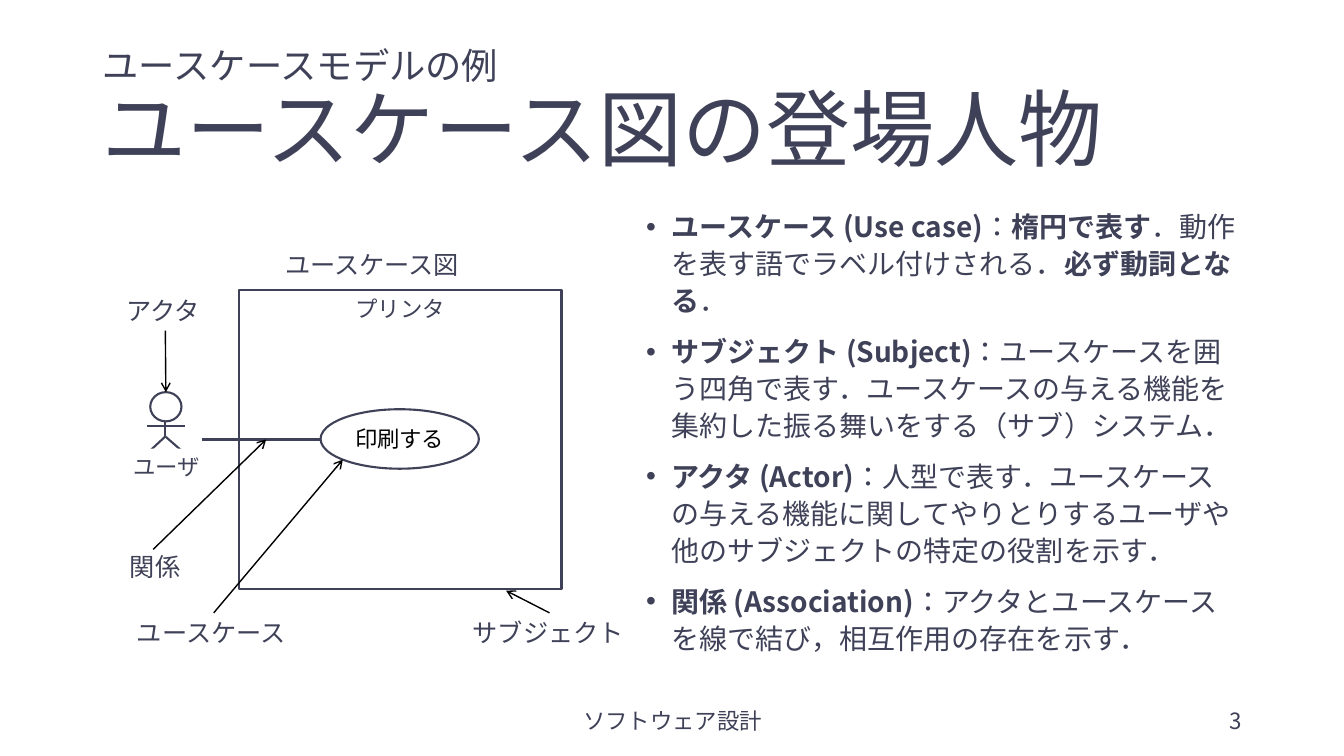
import pptx
import pptx.util
import pptx.dml.color
import pptx.enum.lang
import pptx.enum.shapes
import pptx.enum.text
import pptx.oxml
import pptx.oxml.ns

Inches = pptx.util.Inches
Pt = pptx.util.Pt
Shape = pptx.enum.shapes.MSO_SHAPE
Align = pptx.enum.text.PP_ALIGN
Anchor = pptx.enum.text.MSO_ANCHOR

COLORS = {"ink": "3E4157", "black": "000000", "white": "FFFFFF"}
JAPANESE = "Noto Sans CJK JP"
LATIN = "Calibri"

TITLE = [("ユースケースモデルの例", 25.9), ("ユースケース図の登場人物", 60)]
ROLES = [
    [("ユースケース (Use case)", True), ("：", False), ("楕円で表す", True),
     ("．動作を表す語でラベル付けされる．", False), ("必ず動詞となる", True), ("．", False)],
    [("サブジェクト (Subject)", True),
     ("：ユースケースを囲う四角で表す．ユースケースの与える機能を集約した振る舞いをする（サブ）システム．", False)],
    [("アクタ (Actor)", True),
     ("：人型で表す．ユースケースの与える機能に関してやりとりするユーザや他のサブジェクトの特定の役割を示す．", False)],
    [("関係 (Association)", True),
     ("：アクタとユースケースを線で結び，相互作用の存在を示す．", False)],
]
FOOTERS = [
    ("ソフトウェア設計", (4.42, 6.95, 4.5, 0.4), Align.CENTER),
    ("3", (9.42, 6.95, 3, 0.4), Align.RIGHT),
]
LABELS = {
    "アクタ": (1.16, 2.88, 0.96, 0.4),
    "サブジェクト": (4.59, 6.08, 1.72, 0.4),
    "ユースケース": (1.26, 6.08, 1.72, 0.4),
    "関係": (1.19, 5.42, 0.71, 0.4),
    "ユースケース図": (2.73, 2.42, 1.97, 0.4),
}
LIMBS = [
    (1.64, 4.18, 1.64, 4.33),
    (1.46, 4.23, 1.83, 4.23),
    (1.64, 4.33, 1.49, 4.47),
    (1.8, 4.47, 1.64, 4.33),
]
ASSOCIATION = (3.46, 4.36, 2, 4.36)
ARROWS = [
    ((1.64, 3.28, 1.64, 3.89), "アクタ", 2),
    ((1.52, 5.45, 2.64, 4.36), None, None),
    ((2.12, 6.08, 3.4, 4.56), "ユースケース", 0),
    ((5.44, 6.08, 5.02, 5.86), "サブジェクト", 0),
]

deck = pptx.Presentation()
deck.slide_width, deck.slide_height = Inches(13.33), Inches(7.5)
page = deck.slides.add_slide(deck.slide_layouts[6])


def color(name):
    return pptx.dml.color.RGBColor.from_string(COLORS[name])


def apply(target, formats):
    for key, value in formats.items():
        setattr(target, key, value)


def add_span(para, text, size, face=JAPANESE, ink="ink", bold=False):
    span = para.add_run()
    span.text = text
    apply(span.font, {"size": Pt(size), "name": face, "bold": bold,
                      "language_id": pptx.enum.lang.MSO_LANGUAGE_ID.JAPANESE})
    span.font.color.rgb = color(ink)
    east = pptx.oxml.parse_xml(
        f'<a:ea {pptx.oxml.ns.nsdecls("a")} typeface="{JAPANESE}"/>')
    span.font._element.find(pptx.oxml.ns.qn("a:latin")).addnext(east)


def add_box(place, anchor=Anchor.TOP, wrap=True):
    box = page.shapes.add_textbox(*map(Inches, place))
    apply(box.text_frame, {"word_wrap": wrap, "vertical_anchor": anchor})
    return box


def add_figure(kind, place, outlined=True, text="", ink="ink", anchor=Anchor.TOP, wrap=True):
    figure = page.shapes.add_shape(kind, *map(Inches, place))
    figure.shadow.inherit = False
    figure.fill.solid()
    figure.fill.fore_color.rgb = color("white")
    if outlined:
        figure.line.color.rgb = color("ink")
        figure.line.width = Pt(1.5)
    else:
        figure.line.fill.background()
    apply(figure.text_frame, {"word_wrap": wrap, "vertical_anchor": anchor})
    if text:
        para = figure.text_frame.paragraphs[0]
        para.alignment = Align.CENTER
        add_span(para, text, 16, LATIN, ink)
    return figure


def add_line(ends, ink="ink", width=1.5, arrow=False):
    line = page.shapes.add_connector(
        pptx.enum.shapes.MSO_CONNECTOR.STRAIGHT, *map(Inches, ends))
    line.line.color.rgb = color(ink)
    line.line.width = Pt(width)
    names = pptx.oxml.ns.nsdecls("a")
    if arrow:
        line.line._get_or_add_ln().append(
            pptx.oxml.parse_xml(f'<a:tailEnd {names} type="arrow"/>'))
    line._element.spPr.append(pptx.oxml.parse_xml(f"<a:effectLst {names}/>"))
    return line


add_figure(Shape.RECTANGLE, (2.37, 2.88, 3.2, 2.96), text="プリンタ")

title = add_box((0.92, 0.4, 11.5, 1.45), Anchor.MIDDLE).text_frame.paragraphs[0]
title.line_spacing = 0.9
for index, (text, size) in enumerate(TITLE):
    if index:
        title.add_line_break()
    add_span(title, text, size)

body = add_box((6.31, 2, 6.11, 4.76)).text_frame
for index, spans in enumerate(ROLES):
    para = body.add_paragraph() if index else body.paragraphs[0]
    properties = para._p.get_or_add_pPr()
    properties.set("marL", str(Inches(0.25)))
    properties.set("indent", str(Inches(-0.25)))
    properties.append(pptx.oxml.parse_xml(
        f'<a:buFont {pptx.oxml.ns.nsdecls("a")} typeface="Arial"/>'))
    properties.append(pptx.oxml.parse_xml(
        f'<a:buChar {pptx.oxml.ns.nsdecls("a")} char="•"/>'))
    apply(para, {"line_spacing": 1.1, "space_before": Pt(10 if index else 0)})
    for text, bold in spans:
        add_span(para, text, 20, bold=bold)

for text, place, alignment in FOOTERS:
    para = add_box(place, Anchor.MIDDLE).text_frame.paragraphs[0]
    para.alignment = alignment
    add_span(para, text, 16)

labels = {}
for text, place in LABELS.items():
    labels[text] = add_box(place, wrap=False)
    add_span(labels[text].text_frame.paragraphs[0], text, 18, LATIN)

actor = add_figure(Shape.RECTANGLE, (1.37, 3.89, 0.55, 0.79), outlined=False)
add_figure(Shape.OVAL, (1.49, 3.89, 0.31, 0.29))
for limb in LIMBS:
    add_line(limb)
add_figure(Shape.RECTANGLE, (1.21, 4.45, 0.88, 0.37), outlined=False, text="ユーザ", wrap=False)
add_line(ASSOCIATION)
add_figure(Shape.OVAL, (3.18, 4.06, 1.57, 0.59), text="印刷する", ink="black",
           anchor=Anchor.MIDDLE)

for ends, label, side in ARROWS:
    arrow = add_line(ends, "black", 1, arrow=True)
    if label:
        arrow.begin_connect(labels[label], side)
    if label == "アクタ":
        arrow.end_connect(actor, 0)

deck.save("out.pptx")
